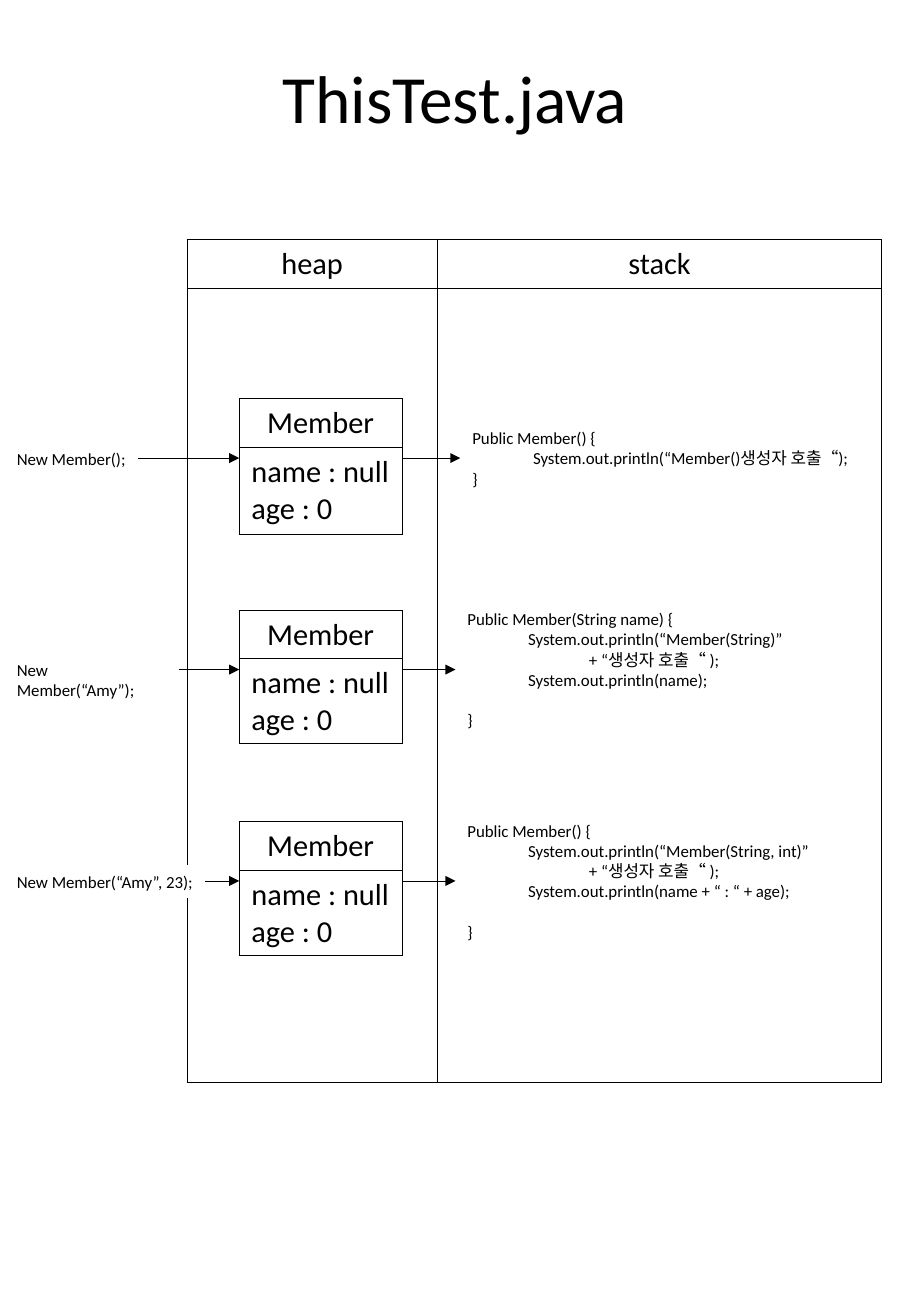
from dataclasses import dataclass
from typing import Optional

from lxml.etree import SubElement
from pptx import Presentation
from pptx.dml.color import RGBColor
from pptx.enum.shapes import MSO_CONNECTOR as Conn, MSO_SHAPE as Geom
from pptx.enum.text import MSO_AUTO_SIZE as AutoSize, MSO_ANCHOR as Anchor, PP_ALIGN as Align
from pptx.oxml.ns import qn
from pptx.util import Inches, Pt


@dataclass(frozen=True)
class Theme:
    font: str = "Calibri"
    ink: str = "000000"
    paper: str = "FFFFFF"
    title: float = 40
    cell: float = 18
    code: float = 10
    line: float = 0.5


@dataclass(frozen=True)
class Call:
    """One constructor call: its label, heap object and stack code."""
    label: str
    label_width: float
    code: list[str]
    code_left: float
    code_rise: float  # from the arrow up to the code box
    code_height: float
    filled: bool = False


THEME = Theme()
INK = RGBColor.from_string(THEME.ink)
PAPER = RGBColor.from_string(THEME.paper)

FIRST_ARROW, PITCH = 3.77, 1.74
LABEL_LEFT, MEMBER_LEFT, MEMBER_WIDTH = 0.04, 1.97, 1.34
CODE_WIDTH = 3.4

CALLS = [
    Call("New Member();", 1.1,
         ["Public Member() {",
          "\tSystem.out.println(“Member()생성자 호출“);",
          "}"], 3.79, 0.3, 0.61),
    Call("New Member(“Amy”);", 1.43,
         ["Public Member(String name) {",
          "\tSystem.out.println(“Member(String)”\v\t\t+ “생성자 호출“ );",
          "\tSystem.out.println(name);",
          "}"], 3.75, 0.55, 1.11),
    Call("New Member(“Amy”, 23);", 1.65,
         ["Public Member() {",
          "\tSystem.out.println(“Member(String, int)”\v\t\t+ “생성자 호출“ );",
          "\tSystem.out.println(name + “ : “ + age);",
          "}"], 3.75, 0.55, 1.11, filled=True),
]


def write(tf, lines: list[str], size: float, align: Align = Align.LEFT) -> None:
    tf.text = "\n".join(lines)
    for p in tf.paragraphs:
        p.alignment = align
        for r in p.runs:
            r.font.name = THEME.font
            r.font.size = Pt(size)
            r.font.bold = False
            r.font.color.rgb = INK


def add_text(slide, lines: list[str], left: float, top: float, width: float, height: float,
             size: float, align: Align = Align.LEFT, filled: bool = False):
    box = tuple(map(Inches, (left, top, width, height)))
    if filled:
        sp = slide.shapes.add_shape(Geom.RECTANGLE, *box)
        sp.shadow.inherit = False
        sp.fill.solid()
        sp.fill.fore_color.rgb = PAPER
        sp.line.fill.background()
    else:
        sp = slide.shapes.add_textbox(*box)
    tf = sp.text_frame
    tf.word_wrap = True
    tf.auto_size = AutoSize.SHAPE_TO_FIT_TEXT
    tf.vertical_anchor = Anchor.TOP
    write(tf, lines, size, align)
    return sp


def add_borders(cell) -> None:
    props = cell._tc.get_or_add_tcPr()
    for side in ("a:lnL", "a:lnR", "a:lnT", "a:lnB"):
        ln = SubElement(props, qn(side), w=str(Pt(THEME.line)))
        fill = SubElement(ln, qn("a:solidFill"))
        SubElement(fill, qn("a:srgbClr"), val=THEME.ink)


def add_grid(slide, left: float, top: float, cols: list[float], rows: list[float],
             headers: list[str], body: Optional[list[str]] = None) -> None:
    """A ruled table with a centred header row over one body row."""
    frame = slide.shapes.add_table(len(rows), len(cols), *map(
        Inches, (left, top, sum(cols), sum(rows))))
    table = frame.table
    table.first_row = table.horz_banding = False
    for col, width in zip(table.columns, cols):
        col.width = Inches(width)
    for row, height in zip(table.rows, rows):
        row.height = Inches(height)
    for cell in table.iter_cells():
        add_borders(cell)
        cell.fill.background()
    for i, header in enumerate(headers):
        write(table.cell(0, i).text_frame, [header], THEME.cell, Align.CENTER)
    if body:
        write(table.cell(1, 0).text_frame, body, THEME.cell)


def add_arrow(slide, start: float, end: float, y: float) -> None:
    c = slide.shapes.add_connector(Conn.STRAIGHT, *map(Inches, (start, y, end, y)))
    c.line.color.rgb = INK
    c.line.width = Pt(THEME.line)
    SubElement(c.line._get_or_add_ln(), qn("a:tailEnd"), type="triangle")
    SubElement(c._element.spPr, qn("a:effectLst"))


def add_call(slide, call: Call, y: float) -> None:
    # Heap object
    add_grid(slide, MEMBER_LEFT, y - 0.49, [MEMBER_WIDTH], [0.28, 0.67],
             ["Member"], ["name : null", "age : 0"])
    # Calling statement
    add_text(slide, [call.label], LABEL_LEFT, y - 0.13, call.label_width, 0.27,
             THEME.code, filled=call.filled)
    # Constructor code, with a line of space before a long body's closing brace
    sp = add_text(slide, call.code, call.code_left, y - call.code_rise,
                  CODE_WIDTH, call.code_height, THEME.code)
    if len(call.code) > 3:
        sp.text_frame.paragraphs[-1].space_before = Pt(12)
    # Arrows from statement to object to code
    add_arrow(slide, LABEL_LEFT + call.label_width, MEMBER_LEFT, y)
    add_arrow(slide, MEMBER_LEFT + MEMBER_WIDTH, call.code_left, y)


def main() -> None:
    prs = Presentation()
    prs.slide_width, prs.slide_height = Inches(7.5), Inches(10.83)
    slide = prs.slides.add_slide(prs.slide_layouts[6])

    # Memory areas
    add_grid(slide, 1.54, 1.97, [2.06, 3.66], [0.36, 6.53], ["heap", "stack"])
    # Constructor calls
    for i, call in enumerate(CALLS):
        add_call(slide, call, FIRST_ARROW + i * PITCH)
    # Title
    add_text(slide, ["ThisTest.java"], 0.94, 0.41, 5.61, 0.77, THEME.title, Align.CENTER)

    prs.save("out.pptx")


if __name__ == "__main__":
    main()
